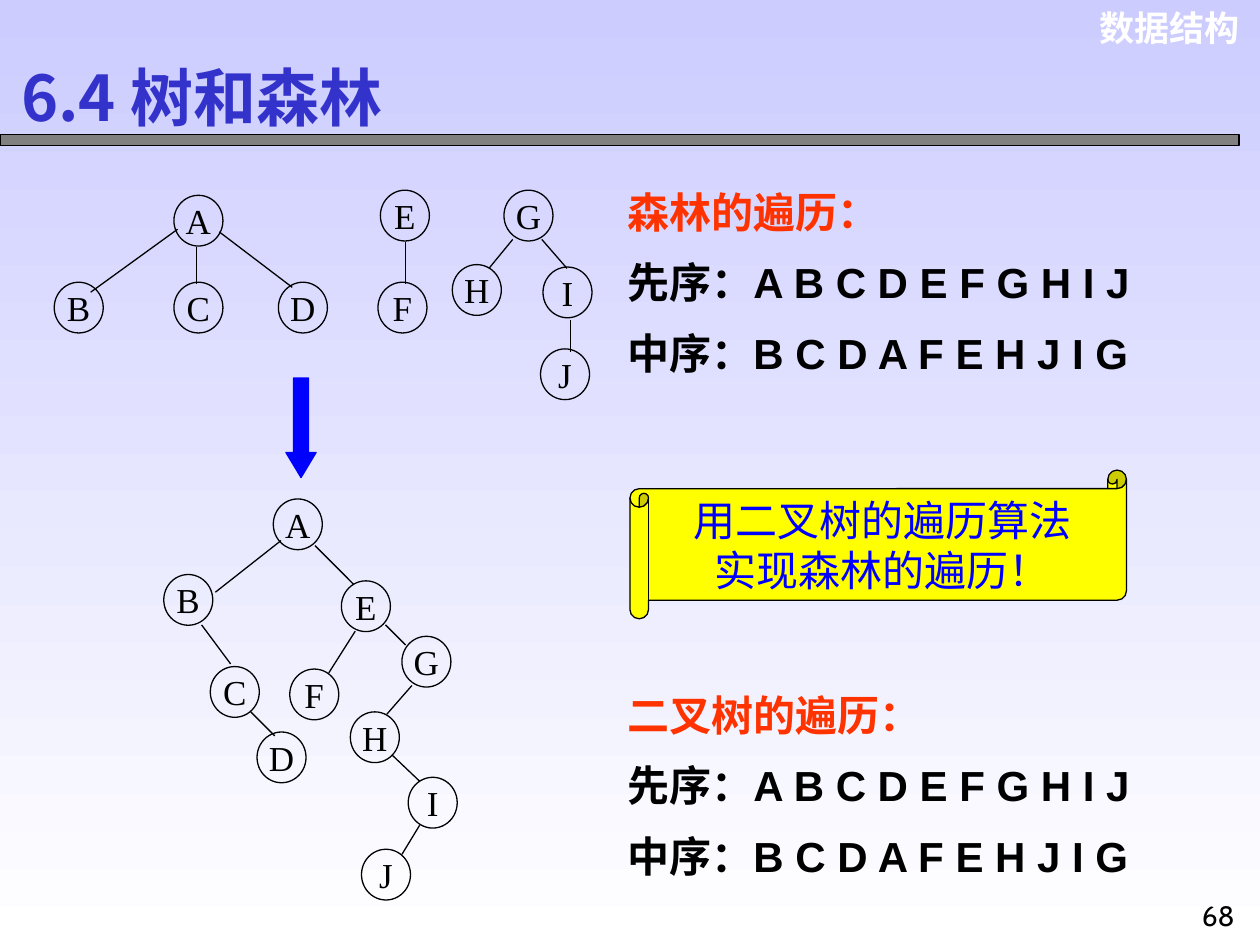
from typing import NamedTuple

from lxml.etree import SubElement
from pptx import Presentation
from pptx.dml.color import RGBColor
from pptx.enum.shapes import MSO_CONNECTOR as Link, MSO_SHAPE as Form
from pptx.enum.text import MSO_ANCHOR as Anchor, MSO_AUTO_SIZE as Auto, PP_ALIGN as Align
from pptx.oxml.ns import qn
from pptx.util import Pt

HUES = {
    "top": "CCCCFF", "white": "FFFFFF", "black": "000000", "gray": "808080",
    "red": "FF3300", "yellow": "FFFF00", "blue": "0000FF", "title": "3333CC",
}
HAN = "Noto Sans CJK SC"
NODE_W, NODE_H = 28, 29


class Style(NamedTuple):
    font: str
    size: float
    hue: str
    bold: bool = False
    align: Align = Align.LEFT


class Box(NamedTuple):
    x: float
    y: float
    w: float
    h: float


class Node(NamedTuple):
    name: str
    x: float
    y: float


class Edge(NamedTuple):
    x1: float
    y1: float
    x2: float
    y2: float


class Panel(NamedTuple):
    y: float
    head: str


HEAD = Style("Arial", 24, "red", True)
LIST = Style("Arial", 24, "black", True)
MARK = Style("Times New Roman", 20, "black", align=Align.CENTER)
NOTE = Style("Arial", 24, "blue", align=Align.CENTER)
LOGO = Style("Arial", 20, "white", True, Align.RIGHT)
PAGE = Style("Cabin", 16, "black", align=Align.CENTER)
TITLE = Style(HAN, 36, "title", True)

ORDERS = ["先序：A B C D E F G H I J", "中序：B C D A F E H J I G"]
PANELS = [Panel(91.4, "森林的遍历："), Panel(378.7, "二叉树的遍历：")]

FOREST = [
    Node("A", 99.4, 111.6), Node("B", 31, 161.3), Node("C", 99.4, 161.3),
    Node("D", 159.1, 161.3), Node("E", 217.4, 108.7), Node("F", 216, 161.3),
    Node("G", 288, 108.7), Node("H", 258.5, 151.2), Node("I", 310.3, 152.6),
    Node("J", 308.9, 199.4),
]
FOREST_EDGES = [
    Edge(112.3, 141.1, 112.3, 162), Edge(101.5, 131, 51.8, 167),
    Edge(125.3, 132.5, 167, 164.2), Edge(231.8, 138.2, 231.8, 162),
    Edge(293, 136.8, 279.4, 153.4), Edge(309.6, 136.8, 324, 153.4),
    Edge(326.2, 182.9, 326.2, 200.9),
]
BINARY = [
    Node("A", 156.2, 285.1), Node("B", 93.6, 328.3), Node("C", 120.2, 380.9),
    Node("D", 146.9, 418.3), Node("E", 195.1, 331.9), Node("F", 165.6, 382.3),
    Node("G", 229.7, 363.6), Node("H", 200.2, 406.8), Node("I", 233.3, 444.2),
    Node("J", 206.6, 485.3),
]
BINARY_EDGES = [
    Edge(160.6, 308.9, 123.1, 338.4), Edge(115.2, 357.1, 131.8, 379.4),
    Edge(143.3, 406.8, 157, 420.5), Edge(180, 311.8, 202.3, 334.1),
    Edge(203, 360.7, 187.9, 384.5), Edge(220.3, 357.1, 231.8, 368.6),
    Edge(235.4, 391.7, 221, 408.2), Edge(223.9, 431.3, 239.8, 446.4),
    Edge(239.8, 471.6, 229.7, 488.2),
]


def tint(name: str) -> RGBColor:
    return RGBColor.from_string(HUES[name])


def place(box: Box) -> list:
    return [Pt(side) for side in box]


def write(shape, lines: list, styles: list, wrap: bool = False,
          anchor: Anchor = Anchor.MIDDLE, space: float = 1) -> None:
    frame = shape.text_frame
    frame.text = "\n".join(lines)
    frame.word_wrap = wrap
    frame.auto_size = Auto.NONE
    frame.vertical_anchor = anchor
    for para, style in zip(frame.paragraphs, styles):
        para.alignment = style.align
        para.line_spacing = space
        for run in para.runs:
            font = run.font
            font.name, font.size, font.bold = style.font, Pt(style.size), style.bold
            font.color.rgb = tint(style.hue)
            SubElement(run._r.get_or_add_rPr(), qn("a:ea")).set("typeface", HAN)


def label(slide, box: Box, lines: list, styles: list, wrap: bool = False,
          space: float = 1) -> None:
    write(slide.shapes.add_textbox(*place(box)), lines, styles, wrap, Anchor.TOP, space)


def draw(slide, form: Form, box: Box, fill: str = "", line: str = "black"):
    shape = slide.shapes.add_shape(form, *place(box))
    shape.shadow.inherit = False
    if fill:
        shape.fill.solid()
        shape.fill.fore_color.rgb = tint(fill)
    else:
        shape.fill.background()
    shape.line.color.rgb = tint(line)
    shape.line.width = Pt(0.75)
    return shape


def draw_tree(slide, nodes: list, edges: list) -> None:
    for node in nodes:
        ring = draw(slide, Form.OVAL, Box(node.x, node.y, NODE_W, NODE_H))
        write(ring, [node.name], [MARK])
    for edge in edges:
        line = slide.shapes.add_connector(Link.STRAIGHT, *[Pt(end) for end in edge])
        line.line.color.rgb = tint("black")
        line.line.width = Pt(0.75)
        SubElement(line._element.spPr, qn("a:effectLst"))


def main() -> None:
    deck = Presentation()
    deck.slide_width, deck.slide_height = Pt(720), Pt(540)
    slide = deck.slides.add_slide(deck.slide_layouts[5])

    back = slide.background.fill
    back.gradient()
    back.gradient_angle = 270
    for stop, name, spot in zip(back.gradient_stops, ["top", "white"], [0, 1]):
        stop.color.rgb = tint(name)
        stop.position = spot

    title = slide.shapes.title
    title.left, title.top, title.width, title.height = place(Box(5, 34.6, 249.1, 41))
    write(title, ["6.4 树和森林"], [TITLE], wrap=True)

    label(slide, Box(617, 0, 98.6, 31.7), ["数据结构"], [LOGO], wrap=True)
    draw(slide, Form.RECTANGLE, Box(0, 77, 708, 6), "gray")

    for panel in PANELS:
        label(slide, Box(351.4, panel.y, 308.2, 128.2), [panel.head, *ORDERS],
              [HEAD, LIST, LIST], space=1.4)

    scroll = draw(slide, Form.HORIZONTAL_SCROLL, Box(360, 268.6, 283.7, 85), "yellow")
    write(scroll, ["用二叉树的遍历算法", "实现森林的遍历！"], [NOTE, NOTE])

    draw_tree(slide, FOREST, FOREST_EDGES)
    draw_tree(slide, BINARY, BINARY_EDGES)

    arrow = draw(slide, Form.DOWN_ARROW, Box(163.4, 216, 17.3, 56.9), "blue", "blue")
    arrow.adjustments[0], arrow.adjustments[1] = 0.5, 0.83

    label(slide, Box(678.2, 509.8, 36, 30.2), ["68"], [PAGE], wrap=True)
    deck.save("out.pptx")


if __name__ == "__main__":
    main()
